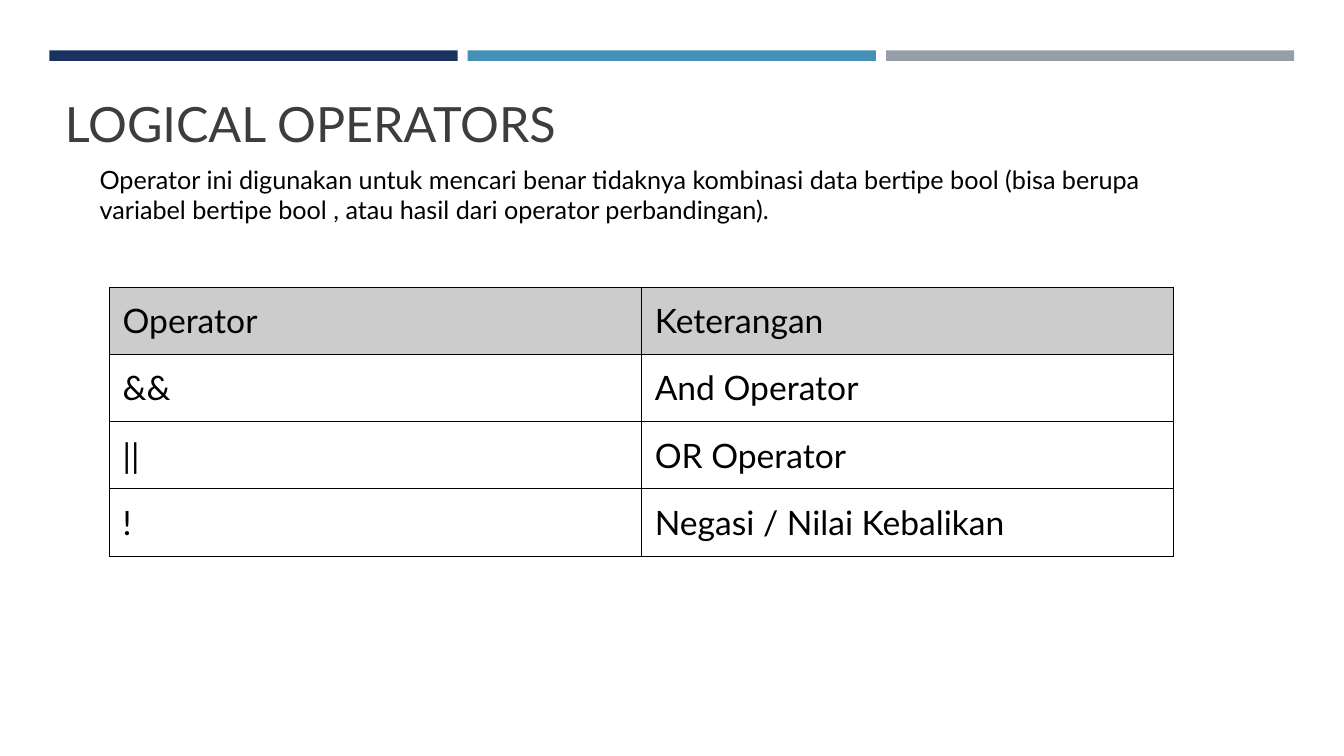
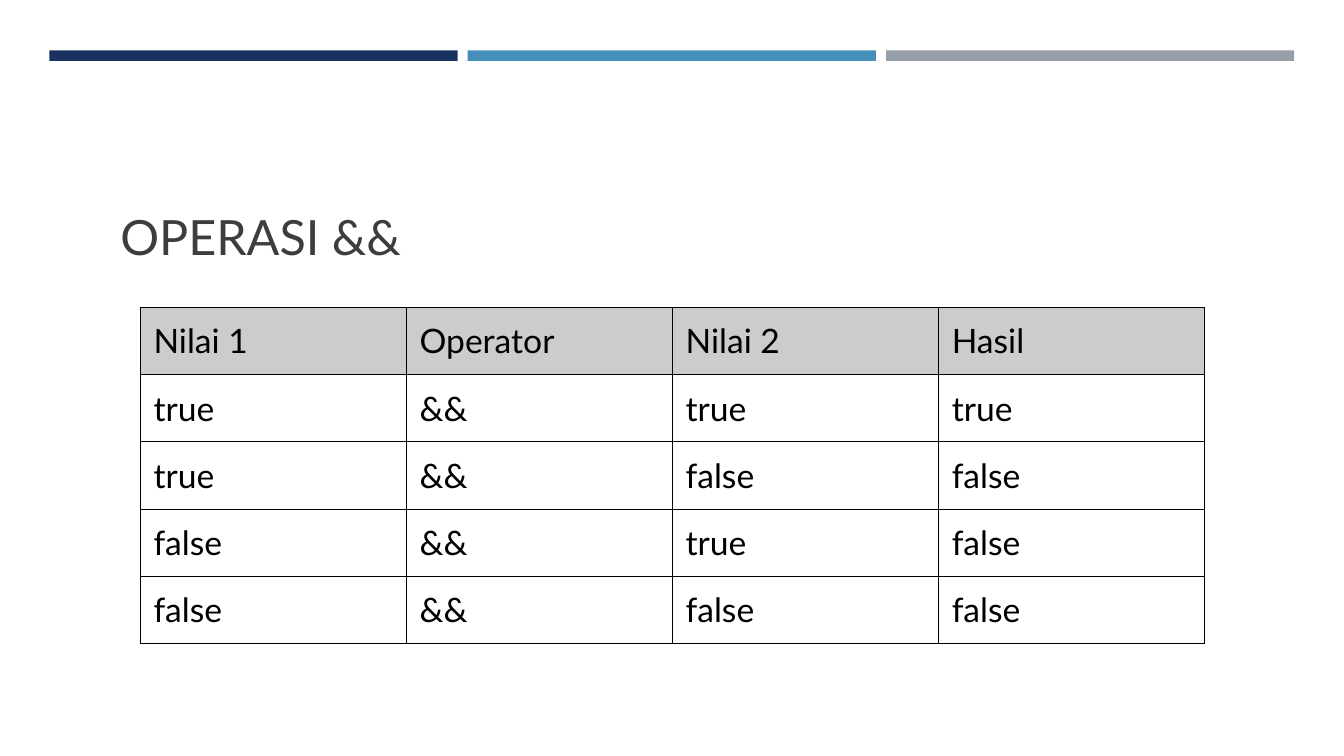
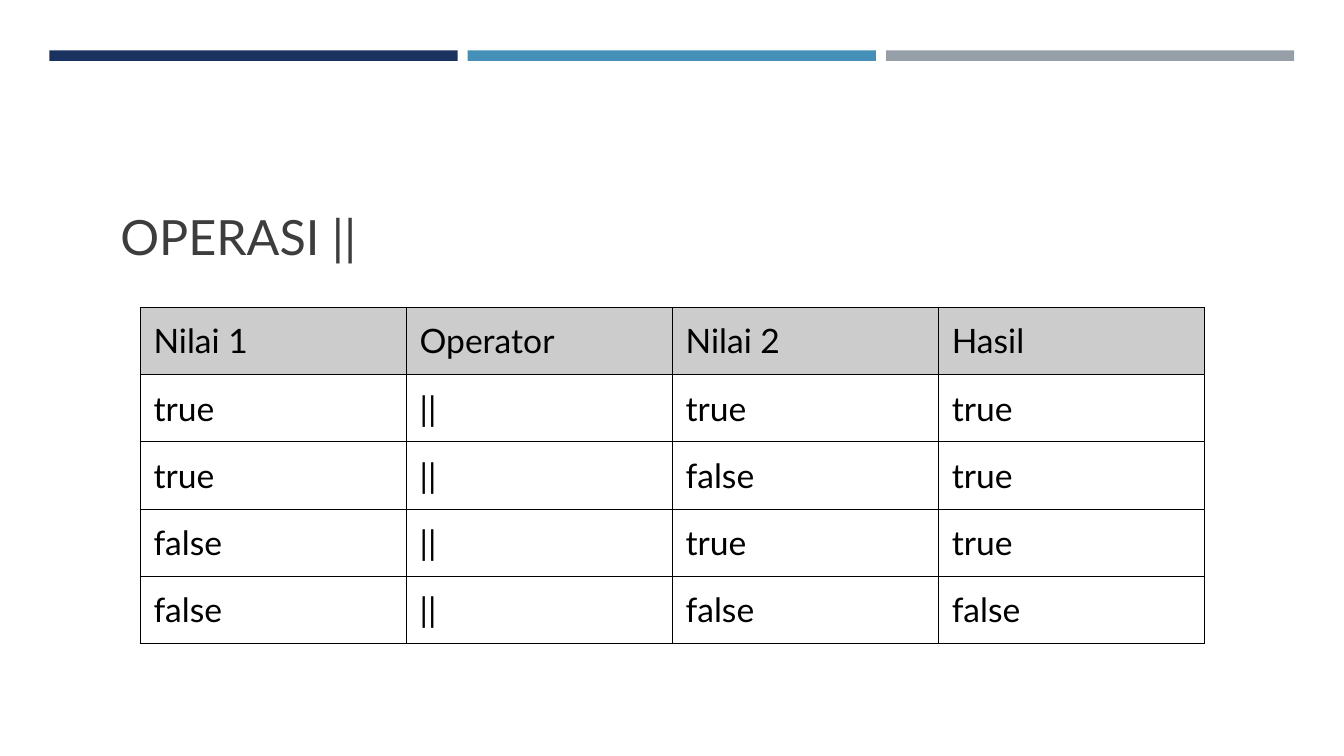
"""Three slides on logical operators, laid out on a 160 x 90 grid."""
import itertools
from collections.abc import Callable, Iterable
from dataclasses import dataclass

import lxml.etree
import pptx
import pptx.dml.color
import pptx.enum.shapes
import pptx.enum.text
import pptx.oxml.ns
import pptx.presentation
import pptx.shapes.base
import pptx.slide
import pptx.text.text
import pptx.util

RGBColor = pptx.dml.color.RGBColor
NAVY = RGBColor(0x1A, 0x32, 0x60)
BLUE = RGBColor(0x45, 0x90, 0xB8)
GREY = RGBColor(0x96, 0x9F, 0xA7)
CHARCOAL = RGBColor(0x3D, 0x3D, 0x3D)
BLACK = RGBColor(0x00, 0x00, 0x00)
HEADER_GREY = RGBColor(0xCC, 0xCC, 0xCC)

FONT = "Lato"
GRID_COLS, GRID_ROWS = 160, 90
UNIT = pptx.util.Inches(1) / 12
TABLE_WIDTH, TABLE_ROW = 126.72, 8
PADDING = 1.6
BAND_STEP = 49.8
BORDER = pptx.util.Pt(0.75)
FIRST_BAND_ID = 101


@dataclass(frozen=True)
class Box:
    """A rectangle in grid columns and rows."""
    left: float
    top: float
    width: float
    height: float

    def emu(self) -> tuple[int, int, int, int]:
        """Return left, top, width and height in EMU."""
        return (grid(self.left), grid(self.top),
                grid(self.width), grid(self.height))


@dataclass(frozen=True)
class TableSlide:
    """A title and the table below it."""
    title: str
    title_at: Box
    table_left: float
    table_top: float
    rows: list[list[str]]


def grid(count: float) -> int:
    """Convert grid columns or rows to EMU."""
    return pptx.util.Emu(round(count * UNIT))


def write(tf: pptx.text.text.TextFrame, text: str, size: float,
          color: RGBColor) -> None:
    """Fill a text frame with left-aligned text in one style."""
    tf.text = text
    for p in tf.paragraphs:
        p.alignment = pptx.enum.text.PP_ALIGN.LEFT
        for r in p.runs:
            r.font.name = FONT
            r.font.size = pptx.util.Pt(size)
            r.font.color.rgb = color


def add_master_bands(prs: pptx.presentation.Presentation,
                     s: pptx.slide.Slide) -> None:
    """Draw the three top bands and hand them to the slide master."""
    master_tree = prs.slide_master.shapes.element
    for i, color in enumerate((NAVY, BLUE, GREY)):
        band = s.shapes.add_shape(
            pptx.enum.shapes.MSO_SHAPE.RECTANGLE,
            *Box(5.88 + i * BAND_STEP, 6, 48.6, 1.25).emu())
        band.name = f"Band {i + 1}"
        band.shadow.inherit = False
        band.fill.solid()
        band.fill.fore_color.rgb = color
        band.line.fill.background()
        band.element.nvSpPr.cNvPr.set("id", str(FIRST_BAND_ID + i))
        master_tree.insert(2 + i, band.element)


def set_title(s: pptx.slide.Slide, text: str, box: Box) -> None:
    """Place and style the title placeholder."""
    title = s.shapes.title
    title.left, title.top, title.width, title.height = box.emu()
    tf = title.text_frame
    tf.margin_left = tf.margin_right = grid(PADDING)
    tf.margin_top = tf.margin_bottom = grid(PADDING)
    tf.vertical_anchor = pptx.enum.text.MSO_ANCHOR.TOP
    tf.auto_size = pptx.enum.text.MSO_AUTO_SIZE.NONE
    write(tf, text, 34.7, CHARCOAL)


def add_borders(tc_pr: lxml.etree.ElementBase) -> None:
    """Put a thin black line on each side of a cell, before its fill."""
    qn = pptx.oxml.ns.qn
    for i, side in enumerate(("a:lnL", "a:lnR", "a:lnT", "a:lnB")):
        ln = lxml.etree.Element(qn(side), w=str(BORDER))
        fill = lxml.etree.SubElement(ln, qn("a:solidFill"))
        lxml.etree.SubElement(fill, qn("a:srgbClr"), val=str(BLACK))
        tc_pr.insert(i, ln)


def add_table(s: pptx.slide.Slide, left: float, top: float,
              rows: list[list[str]]) -> None:
    """Draw a bordered table with equal columns and a grey header."""
    box = Box(left, top, TABLE_WIDTH, TABLE_ROW * len(rows))
    table = s.shapes.add_table(len(rows), len(rows[0]), *box.emu()).table
    table.first_row = table.horz_banding = False
    for i, row in enumerate(rows):
        for j, text in enumerate(row):
            cell = table.cell(i, j)
            cell.margin_left = cell.margin_right = grid(PADDING)
            cell.margin_top = cell.margin_bottom = grid(PADDING)
            if i == 0:
                cell.fill.solid()
                cell.fill.fore_color.rgb = HEADER_GREY
            else:
                cell.fill.background()
            write(cell.text_frame, text, 24, BLACK)
            add_borders(cell.fill._xPr)


def add_intro(s: pptx.slide.Slide, text: str, box: Box) -> None:
    """Add the explanatory sentence under a title."""
    tf = s.shapes.add_textbox(*box.emu()).text_frame
    tf.word_wrap = True
    write(tf, text, 18, BLACK)


def truth_slide(sign: str,
                combine: Callable[[Iterable[bool]], bool]) -> TableSlide:
    """Describe the truth table of a two-value operator."""
    rows = [["Nilai 1", "Operator", "Nilai 2", "Hasil"]]
    for a, b in itertools.product((True, False), repeat=2):
        first, second, result = (
            str(value).lower() for value in (a, b, combine((a, b))))
        rows.append([first, sign, second, result])
    return TableSlide(f"OPERASI {sign}", Box(12.72, 23.04, 134.52, 9.36),
                      16.68, 36.6, rows)


def add_slide(prs: pptx.presentation.Presentation,
              content: TableSlide) -> pptx.slide.Slide:
    """Add a slide with its title and table."""
    s = prs.slides.add_slide(prs.slide_layouts.get_by_name("Title Only"))
    set_title(s, content.title, content.title_at)
    add_table(s, content.table_left, content.table_top, content.rows)
    return s


def main() -> None:
    """Build and save the presentation."""
    prs = pptx.Presentation()
    prs.slide_width, prs.slide_height = grid(GRID_COLS), grid(GRID_ROWS)

    overview = add_slide(prs, TableSlide(
        "LOGICAL OPERATORS", Box(6.12, 9.6, 134.52, 9.36), 13, 34.2,
        [["Operator", "Keterangan"],
         ["&&", "And Operator"],
         ["||", "OR Operator"],
         ["!", "Negasi / Nilai Kebalikan"]]))
    add_intro(
        overview,
        "Operator ini digunakan untuk mencari benar tidaknya kombinasi data "
        "bertipe bool (bisa berupa variabel bertipe bool , atau hasil dari "
        "operator perbandingan). ",
        Box(10.68, 18.96, 131.28, 8.52))
    add_master_bands(prs, overview)

    add_slide(prs, truth_slide("&&", all))
    add_slide(prs, truth_slide("||", any))
    prs.save("out.pptx")


main()
